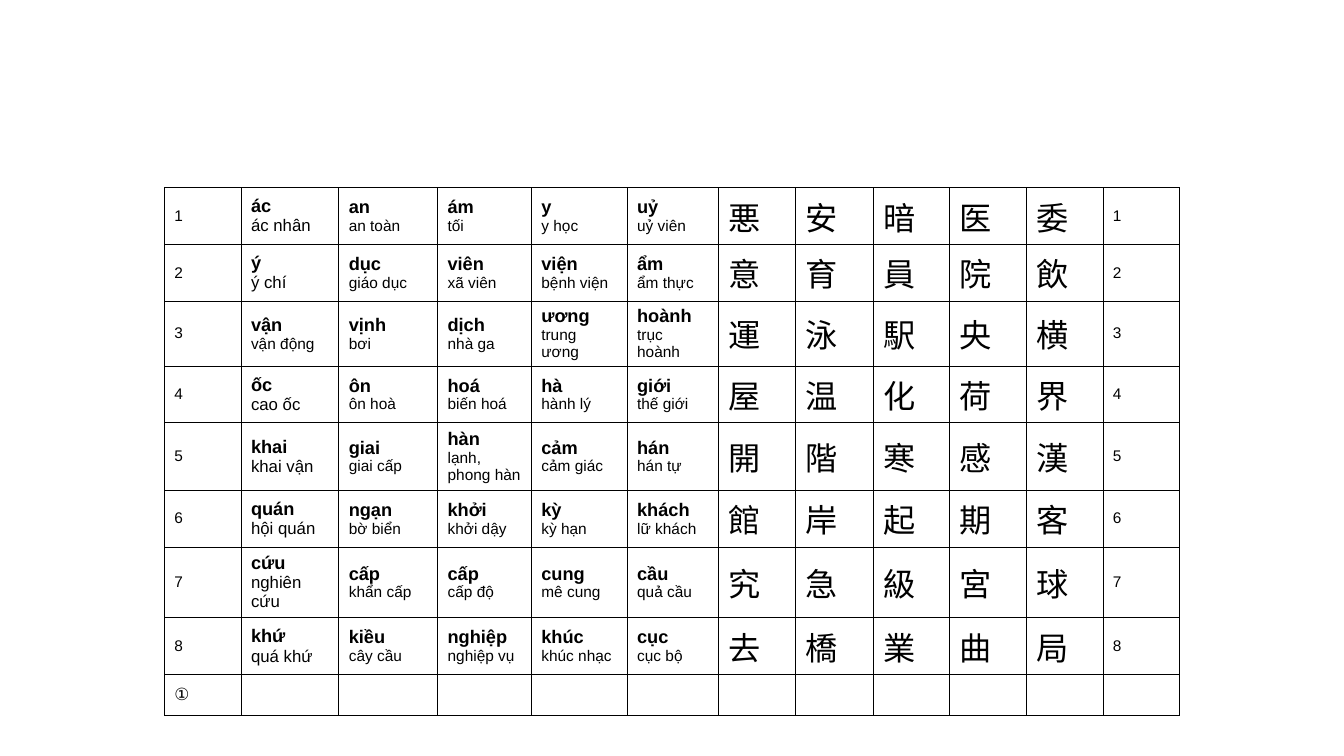
from dataclasses import dataclass

from lxml.etree import SubElement
from pptx import Presentation
from pptx.dml.color import RGBColor
from pptx.enum.text import MSO_ANCHOR as Anchor
from pptx.oxml.ns import qn
from pptx.util import Inches, Pt

READINGS = [
    [("ác", "ác nhân"), ("an", "an toàn"), ("ám", "tối"), ("y", "y học"), ("uỷ", "uỷ viên")],
    [("ý", "ý chí"), ("dục", "giáo dục"), ("viên", "xã viên"), ("viện", "bệnh viện"), ("ẩm", "ẩm thực")],
    [("vận", "vận động"), ("vịnh", "bơi"), ("dịch", "nhà ga"), ("ương", "trung ương"), ("hoành", "trục hoành")],
    [("ốc", "cao ốc"), ("ôn", "ôn hoà"), ("hoá", "biến hoá"), ("hà", "hành lý"), ("giới", "thế giới")],
    [("khai", "khai vận"), ("giai", "giai cấp"), ("hàn", "lạnh,\nphong hàn"), ("cảm", "cảm giác"), ("hán", "hán tự")],
    [("quán", "hội quán"), ("ngạn", "bờ biển"), ("khởi", "khởi dậy"), ("kỳ", "kỳ hạn"), ("khách", "lữ khách")],
    [("cứu", "nghiên cứu"), ("cấp", "khẩn cấp"), ("cấp", "cấp độ"), ("cung", "mê cung"), ("cầu", "quả cầu")],
    [("khứ", "quá khứ"), ("kiều", "cây cầu"), ("nghiệp", "nghiệp vụ"), ("khúc", "khúc nhạc"), ("cục", "cục bộ")],
]
KANJI = ["悪安暗医委", "意育員院飲", "運泳駅央横", "屋温化荷界", "開階寒感漢", "館岸起期客", "究急級宮球", "去橋業曲局"]
PAGE_MARK = "①"
SMALL_FIRST_READING = "vận động"

COLUMN_WIDTHS = [0.76, 0.97, 0.98, 0.93, 0.95, 0.91, 0.76, 0.77] + [0.76] * 4
ROW_HEIGHTS = [0.56, 0.56, 0.64, 0.56, 0.67, 0.56, 0.7, 0.56, 0.4]
TABLE_LEFT, TABLE_TOP = 1.63, 1.86


@dataclass(frozen=True)
class Theme:
    ink: str = "000000"
    latin: str = "Arial"
    kanji: str = "Roboto"
    number_size: int = 11
    reading_size: int = 13
    example_size: int = 11
    first_example_size: int = 12
    kanji_size: int = 23
    mark_size: int = 12
    border: float = 0.5


THEME = Theme()


def write(cell, text, size, font=THEME.latin, bold=False):
    paragraph = cell.text_frame.paragraphs[0]
    for index, line in enumerate(text.split("\n")):
        if index:
            paragraph.add_line_break()
        run = paragraph.add_run()
        run.text = line
        run.font.size = Pt(size)
        run.font.bold = bold
        run.font.color.rgb = RGBColor.from_string(THEME.ink)
        run.font.name = font


def style_cell(cell):
    properties = cell._tc.get_or_add_tcPr()
    for side in ("a:lnL", "a:lnR", "a:lnT", "a:lnB"):
        line = SubElement(properties, qn(side), w=str(Pt(THEME.border)))
        fill = SubElement(line, qn("a:solidFill"))
        SubElement(fill, qn("a:srgbClr"), val=THEME.ink)
    cell.fill.background()
    cell.vertical_anchor = Anchor.MIDDLE


def write_reading(cell, reading, example, first):
    large = first and example != SMALL_FIRST_READING
    write(cell, reading, THEME.reading_size, bold=True)
    cell.text_frame.paragraphs[0].add_line_break()
    write(cell, example, THEME.first_example_size if large else THEME.example_size)


def add_kanji_table(slide):
    frame = slide.shapes.add_table(
        len(ROW_HEIGHTS), len(COLUMN_WIDTHS), Inches(TABLE_LEFT), Inches(TABLE_TOP),
        Inches(sum(COLUMN_WIDTHS)), Inches(sum(ROW_HEIGHTS)))
    table = frame.table
    table.first_row = table.horz_banding = False
    for column, width in zip(table.columns, COLUMN_WIDTHS):
        column.width = Inches(width)
    for row, height in zip(table.rows, ROW_HEIGHTS):
        row.height = Inches(height)
    for cell in table.iter_cells():
        style_cell(cell)

    for row, (readings, characters) in enumerate(zip(READINGS, KANJI)):
        for column in (0, len(COLUMN_WIDTHS) - 1):
            write(table.cell(row, column), str(row + 1), THEME.number_size)
        for column, (reading, example) in enumerate(readings, 1):
            write_reading(table.cell(row, column), reading, example, column == 1)
        for column, character in enumerate(characters, 1 + len(readings)):
            write(table.cell(row, column), character, THEME.kanji_size, font=THEME.kanji)
    write(table.cell(len(READINGS), 0), PAGE_MARK, THEME.mark_size, font=THEME.kanji)


def main():
    presentation = Presentation()
    presentation.slide_width = Inches(13.33)
    presentation.slide_height = Inches(7.5)
    slide = presentation.slides.add_slide(presentation.slide_layouts[6])
    add_kanji_table(slide)
    presentation.save("out.pptx")


if __name__ == "__main__":
    main()
